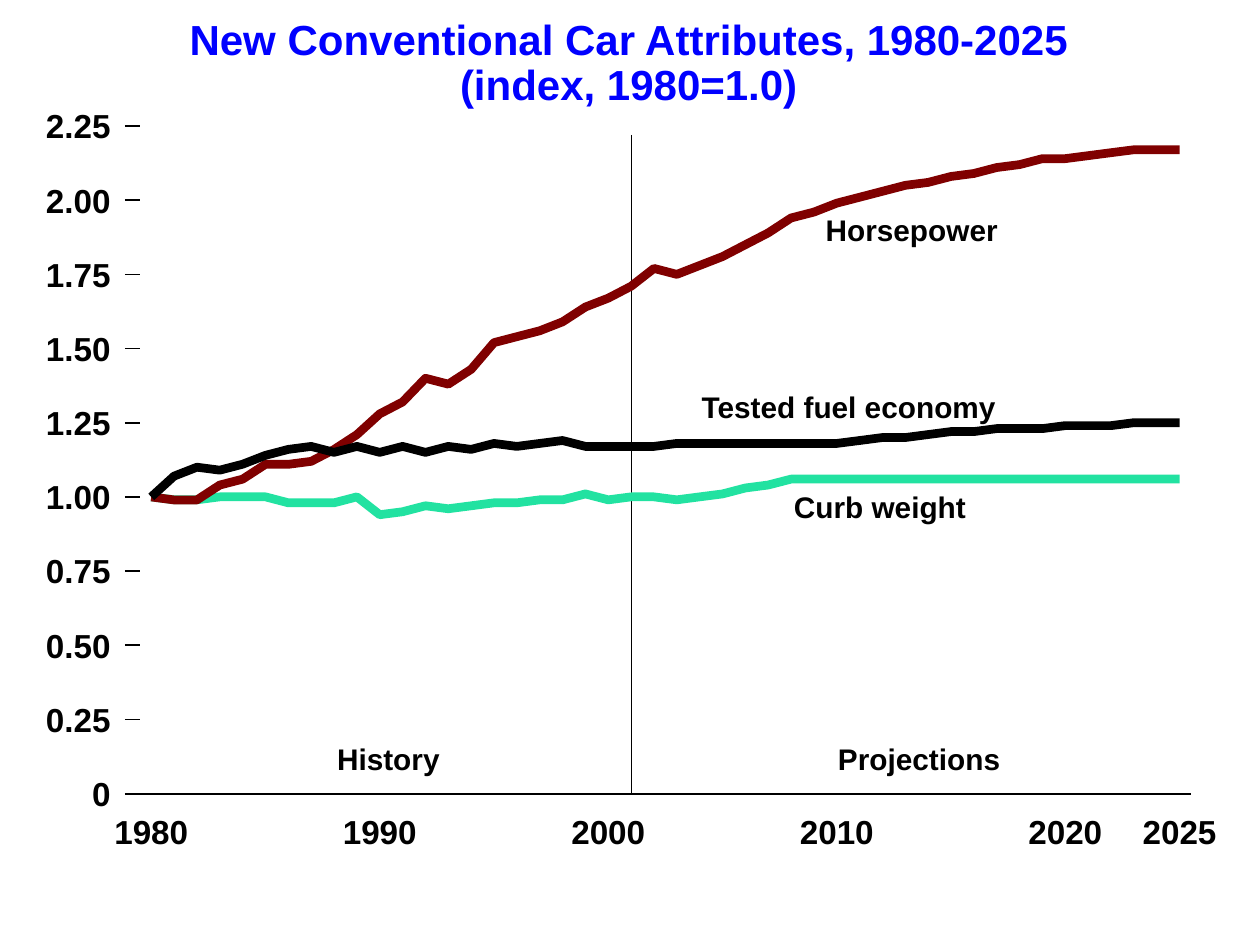
from lxml import etree
from pptx import Presentation
from pptx.dml.color import RGBColor
from pptx.enum.shapes import MSO_CONNECTOR
from pptx.enum.text import MSO_ANCHOR, MSO_AUTO_SIZE, PP_ALIGN
from pptx.oxml.ns import qn
from pptx.util import Cm, Pt

LEFT, MID, RIGHT = PP_ALIGN.LEFT, PP_ALIGN.CENTER, PP_ALIGN.RIGHT
TOP = MSO_ANCHOR.TOP
NO_FIT = MSO_AUTO_SIZE.NONE
STRAIGHT = MSO_CONNECTOR.STRAIGHT

FONT = "Arial"
HUES = {"title": "0000FF", "ink": "000000", "curb": "22E2A1", "power": "800000"}

START, SPLIT, END = 1980, 2001, 2025
PEAK, STEP = 2.25, 0.25
YEARS = (1980, 1990, 2000, 2010, 2020, 2025)

# One index value per year, 1980 to 2025
CURB = [
    1.00, 0.99, 0.99, 1.00, 1.00, 1.00, 0.98, 0.98, 0.98, 1.00,
    0.94, 0.95, 0.97, 0.96, 0.97, 0.98, 0.98, 0.99, 0.99, 1.01,
    0.99, 1.00, 1.00, 0.99, 1.00, 1.01, 1.03, 1.04] + [1.06] * 18
POWER = [
    1.00, 0.99, 0.99, 1.04, 1.06, 1.11, 1.11, 1.12, 1.16, 1.21,
    1.28, 1.32, 1.40, 1.38, 1.43, 1.52, 1.54, 1.56, 1.59, 1.64,
    1.67, 1.71, 1.77, 1.75, 1.78, 1.81, 1.85, 1.89, 1.94, 1.96,
    1.99, 2.01, 2.03, 2.05, 2.06, 2.08, 2.09, 2.11, 2.12, 2.14,
    2.14, 2.15, 2.16, 2.17, 2.17, 2.17]
ECON = [
    1.00, 1.07, 1.10, 1.09, 1.11, 1.14, 1.16, 1.17, 1.15, 1.17,
    1.15, 1.17, 1.15, 1.17, 1.16, 1.18, 1.17, 1.18, 1.19, 1.17,
    1.17, 1.17, 1.17, 1.18, 1.18, 1.18, 1.18, 1.18, 1.18, 1.18,
    1.18, 1.19, 1.20, 1.20, 1.21, 1.22, 1.22, 1.23, 1.23, 1.23,
    1.24, 1.24, 1.24, 1.25, 1.25, 1.25]

# Text, centre and top within the plot, width, line spacing
NOTES = [
    ("History", 4.78, 12.4, 2.08, 1.0),
    ("Projections", 15.48, 12.4, 3.28, 1.0),
    ("Horsepower", 15.33, 1.73, 3.48, 1.0),
    ("Tested fuel economy", 14.06, 5.38, 5.97, 0.9),
    ("Curb weight", 14.69, 7.32, 3.48, 1.0),
]


def ink(hue):
    return RGBColor.from_string(HUES[hue])


def write(shape, lines, size, align, hue="ink", space=1.0):
    frame = shape.text_frame
    frame.word_wrap = False
    frame.auto_size = NO_FIT
    frame.vertical_anchor = TOP
    frame.margin_left = frame.margin_right = 0
    frame.margin_top = frame.margin_bottom = 0
    for i, line in enumerate(lines):
        para = frame.add_paragraph() if i else frame.paragraphs[0]
        para.alignment = align
        para.line_spacing = space
        run = para.add_run()
        run.text = line
        run.font.name = FONT
        run.font.size = Pt(size)
        run.font.bold = True
        run.font.color.rgb = ink(hue)


def label(slide, text, x, y, wide, size, align, space=1.0):
    box = slide.shapes.add_textbox(Cm(x), Cm(y), Cm(wide), Cm(0.8))
    write(box, [text], size, align, space=space)


def rule(slide, x1, y1, x2, y2, width):
    line = slide.shapes.add_connector(STRAIGHT, Cm(x1), Cm(y1), Cm(x2), Cm(y2))
    line.line.color.rgb = ink("ink")
    line.line.width = Pt(width)
    etree.SubElement(line._element.spPr, qn("a:effectLst"))


def curve(slide, points, hue):
    spots = [(Cm(x), Cm(y)) for x, y in points]
    pen = slide.shapes.build_freeform(*spots[0])
    pen.add_line_segments(spots[1:], close=False)
    shape = pen.convert_to_shape()
    shape.shadow.inherit = False
    shape.fill.background()
    shape.line.color.rgb = ink(hue)
    shape.line.width = Pt(5)


def head(slide, x, y, wide, high):
    title = slide.shapes.title
    title.left, title.top = Cm(x), Cm(y)
    title.width, title.height = Cm(wide), Cm(high)
    lines = ["New Conventional Car Attributes, 1980-2025", "(index, 1980=1.0)"]
    write(title, lines, 24, MID, "title", 0.9)


def plot(slide, x, y, wide, high):
    base = y + high

    def across(year):
        return x + wide * (year - START) / (END - START)

    def up(value):
        return base - high * value / PEAK

    # Divider between history and projections
    rule(slide, across(SPLIT), y + 0.18, across(SPLIT), base, 0.75)

    # Index curves
    for data, hue in ((CURB, "curb"), (POWER, "power"), (ECON, "ink")):
        points = [(across(START + i), up(v)) for i, v in enumerate(data)]
        curve(slide, points, hue)

    # Value axis: ticks and labels
    edge = x - 0.82
    for i in range(round(PEAK / STEP) + 1):
        value = i * STEP
        level = up(value)
        rule(slide, x - 0.53, level, x - 0.23, level, 1)
        text = f"{value:.2f}" if i else "0"
        span = 0.33 * len(text)
        label(slide, text, edge - span, level - 0.41, span, 19, RIGHT)

    # Year axis
    rule(slide, x - 0.23, base, x + wide + 0.23, base, 1)
    for year in YEARS:
        label(slide, str(year), across(year) - 0.75, base + 0.36, 1.5, 19, MID)

    # Names of curves and periods
    for text, mid, top, span, space in NOTES:
        label(slide, text, x + mid - span / 2, y + top, span, 17, MID, space)


def main():
    deck = Presentation()
    deck.slide_width, deck.slide_height = Cm(25.4), Cm(19.05)
    slide = deck.slides.add_slide(deck.slide_layouts[5])
    head(slide, 3.81, 0.38, 17.73, 1.83)
    plot(slide, 3.05, 2.54, 20.73, 13.46)
    deck.save("out.pptx")


if __name__ == "__main__":
    main()
